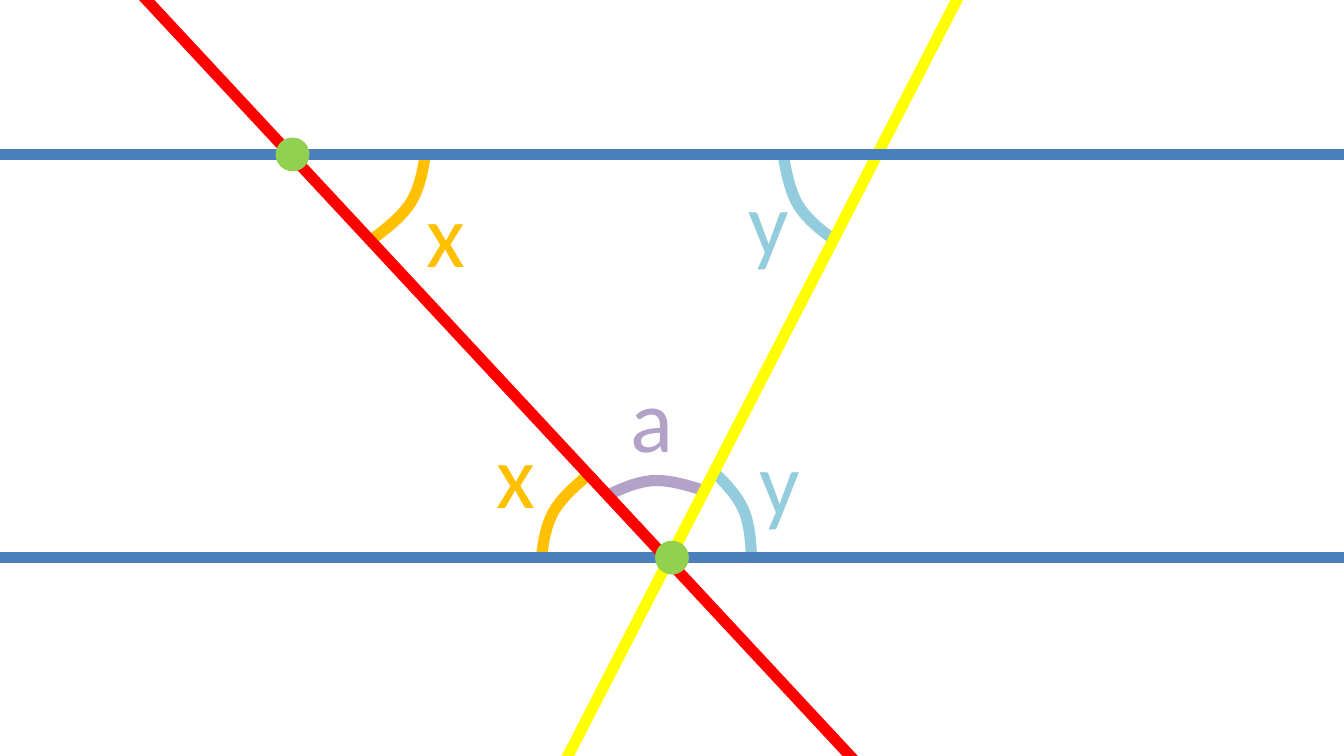
import lxml.etree
import pptx
import pptx.dml.color
import pptx.enum.shapes
import pptx.oxml.ns
import pptx.util

Cm = pptx.util.Cm
qn = pptx.oxml.ns.qn

THEME = {
    "font": "Calibri",
    "label_size": 48,
    "stroke": 6,
    "x": "FFC000",
    "y": "93CDDD",
    "a": "B3A2C7",
    "parallel": "4B7EBC",
    "red": "FF0000",
    "yellow": "FFFF00",
    "point": "92D050",
}
SLIDE_WIDTH, SLIDE_HEIGHT = 25.4, 14.29
UPPER, LOWER = 2.92, 10.54
DOT = 0.64
LABEL_WIDTH, LABEL_HEIGHT = 1.35, 2.31

ARC_CURVE = [(0, 1.6), (0.28, 1.39), (0.57, 1.16), (0.73, 0.9),
             (0.89, 0.63), (0.95, 0.32), (1, 0)]
ARCS = [
    ("a", 11.89, 8.53, 235),
    ("y", 14.78, 2.92, 117.3),
    ("y", 13.34, 8.97, 305.1),
    ("x", 10.19, 8.97, 177.4),
    ("x", 7.04, 2.92, 0),
]
LINES = [
    ("yellow", (18.21, -0.25), (10.49, 14.76)),
    ("parallel", (0, UPPER), (SLIDE_WIDTH, UPPER)),
    ("parallel", (0, LOWER), (SLIDE_WIDTH, LOWER)),
    ("red", (2.54, -0.25), (16.31, 14.55)),
]
POINTS = [(5.53, UPPER), (12.7, LOWER)]
LABELS = [
    ("x", 7.82, 3.23),
    ("x", 9.14, 7.8),
    ("y", 13.89, 3.02),
    ("y", 14.1, 7.92),
    ("a", 11.66, 6.73),
]


def color(name):
    return pptx.dml.color.RGBColor.from_string(THEME[name])


def set_stroke(line, name):
    line.color.rgb = color(name)
    line.width = pptx.util.Pt(THEME["stroke"])


def add_arc(slide, name, left, top, rotation):
    start, *others = [(Cm(x), Cm(y)) for x, y in ARC_CURVE]
    builder = slide.shapes.build_freeform(*start)
    builder.add_line_segments(others, close=False)
    shape = builder.convert_to_shape(Cm(left), Cm(top))
    shape.rotation = rotation
    shape.shadow.inherit = False
    shape.fill.background()
    set_stroke(shape.line, name)
    outline = next(shape._element.iter(qn("a:path")))
    segments = outline.findall(qn("a:lnTo"))
    for index in range(0, len(segments), 3):
        curve = lxml.etree.SubElement(outline, qn("a:cubicBezTo"))
        for segment in segments[index:index + 3]:
            curve.append(segment[0])
            outline.remove(segment)


def add_line(slide, name, start, end):
    connector = slide.shapes.add_connector(
        pptx.enum.shapes.MSO_CONNECTOR.STRAIGHT,
        *(Cm(value) for value in start + end))
    set_stroke(connector.line, name)
    lxml.etree.SubElement(connector._element.spPr, qn("a:effectLst"))


def add_point(slide, x, y):
    shape = slide.shapes.add_shape(
        pptx.enum.shapes.MSO_SHAPE.OVAL,
        Cm(x - DOT / 2), Cm(y - DOT / 2), Cm(DOT), Cm(DOT))
    shape.shadow.inherit = False
    shape.fill.solid()
    shape.fill.fore_color.rgb = color("point")
    shape.line.fill.background()


def add_label(slide, name, left, top):
    box = slide.shapes.add_textbox(
        Cm(left), Cm(top), Cm(LABEL_WIDTH), Cm(LABEL_HEIGHT))
    box.text_frame.word_wrap = True
    run = box.text_frame.paragraphs[0].add_run()
    run.text = name
    run.font.name = THEME["font"]
    run.font.size = pptx.util.Pt(THEME["label_size"])
    run.font.color.rgb = color(name)


def main():
    presentation = pptx.Presentation()
    presentation.slide_width = Cm(SLIDE_WIDTH)
    presentation.slide_height = Cm(SLIDE_HEIGHT)
    slide = presentation.slides.add_slide(presentation.slide_layouts[6])
    for add, items in ((add_arc, ARCS), (add_line, LINES),
                       (add_point, POINTS), (add_label, LABELS)):
        for item in items:
            add(slide, *item)
    presentation.save("out.pptx")


if __name__ == "__main__":
    main()
